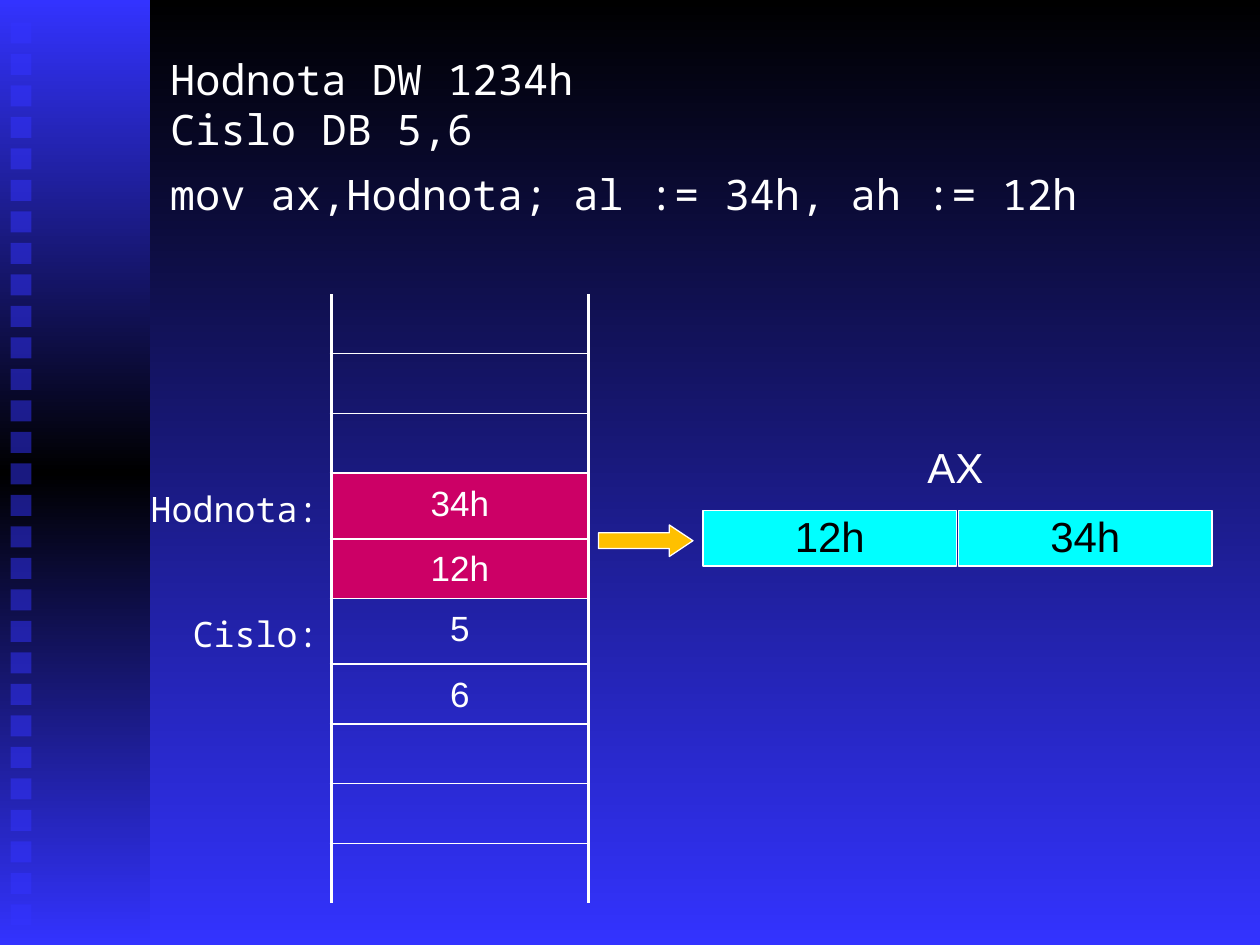
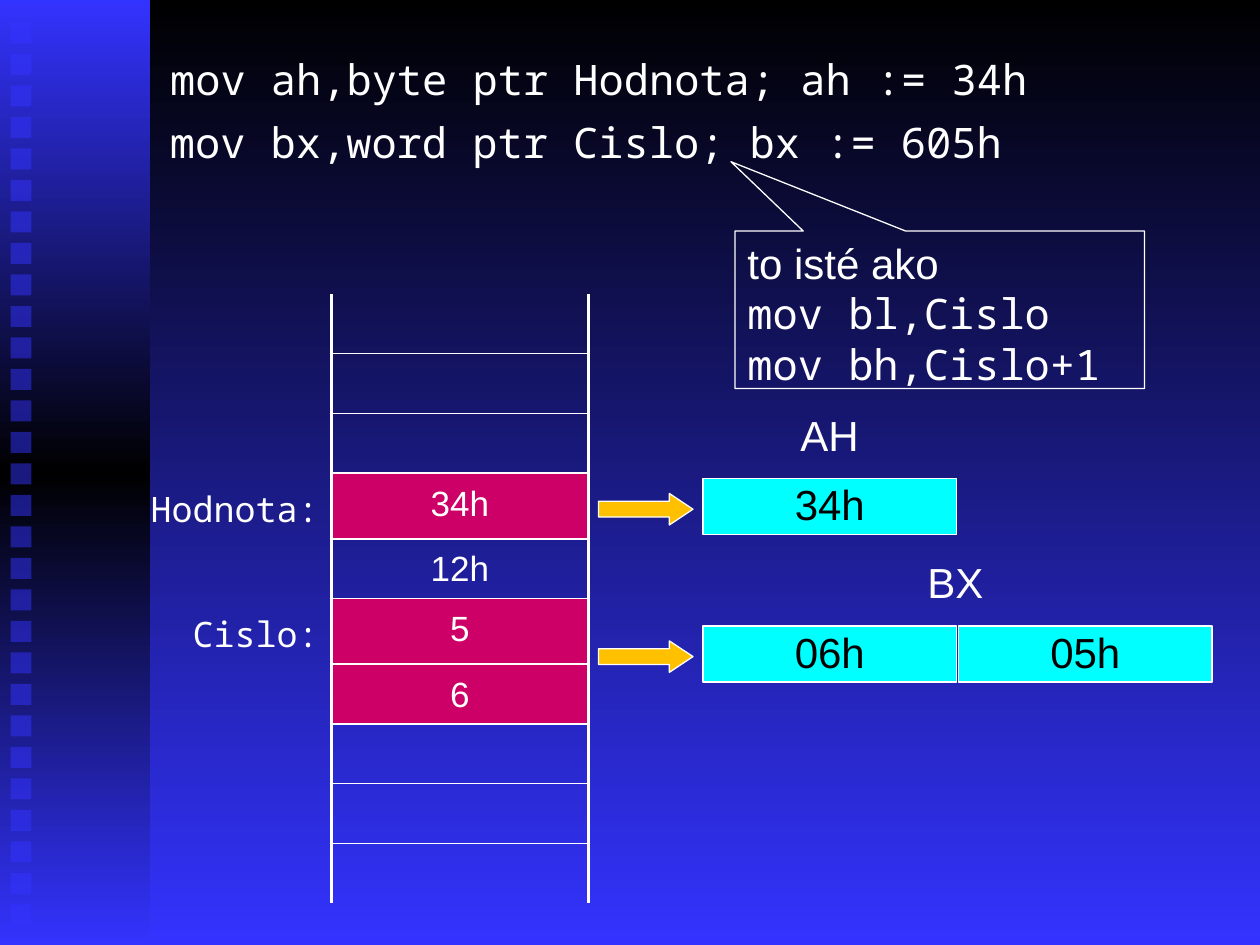
"""Builds two slides on how assembler variables lie in memory and load into registers."""
import copy
import dataclasses

import pptx
import pptx.dml.color
import pptx.enum.shapes
import pptx.enum.text
import pptx.oxml
import pptx.oxml.ns
import pptx.util

Pt = pptx.util.Pt
qn = pptx.oxml.ns.qn
SHAPE = pptx.enum.shapes.MSO_SHAPE
ALIGN = pptx.enum.text.PP_ALIGN
ANCHOR = pptx.enum.text.MSO_ANCHOR


@dataclasses.dataclass(frozen=True)
class Theme:
    """Colours, fonts and type sizes shared by the slides."""
    black: str = "000000"
    blue: str = "3333FF"
    white: str = "FFFFFF"
    marked: str = "CC0066"
    register: str = "00FFFF"
    arrow: str = "FFC000"
    sans: str = "Arial"
    mono: str = "Noto Sans Mono"
    text_size: int = 24
    cell_size: int = 20
    thin_line: float = 0.75
    row_line: float = 1
    column_line: float = 2.25


THEME = Theme()
NO_STYLE = "{2D5ABB26-0587-4C30-8999-92F81FD0307C}"
MEMORY = ["", "", "", "34h", "12h", "5", "6", "", "", ""]
LABELS = {3: "Hodnota:", 5: "Cislo:"}


def rgb(value):
    """Return the colour object of a hexadecimal value."""
    return pptx.dml.color.RGBColor.from_string(value)


def place(shape, box):
    """Move and size a shape to left, top, width, height."""
    shape.left, shape.top, shape.width, shape.height = map(Pt, box)


def write(frame, lines, size=THEME.text_size, colour=THEME.white, align=ALIGN.LEFT):
    """Fill a text frame with (text, font name) lines."""
    for index, (text, font_name) in enumerate(lines):
        paragraph = frame.add_paragraph() if index else frame.paragraphs[0]
        paragraph.alignment = align
        run = paragraph.add_run()
        run.text = text
        run.font.name = font_name
        run.font.size = Pt(size)
        run.font.color.rgb = rgb(colour)


def set_frame(frame, top_inset):
    """Make a text frame wrap, start at the top and keep its size."""
    frame.word_wrap = True
    frame.auto_size = pptx.enum.text.MSO_AUTO_SIZE.NONE
    frame.vertical_anchor = ANCHOR.TOP
    frame.margin_left = frame.margin_right = Pt(7.2)
    frame.margin_top, frame.margin_bottom = Pt(top_inset), Pt(3.6)


def paint_gradient(fill, element, colours):
    """Fill from top to bottom with evenly spaced colours."""
    fill.gradient()
    fill.gradient_angle = 270
    stops = element.find(".//" + qn("a:gsLst"))
    for _ in colours[2:]:
        stops.append(copy.deepcopy(stops[0]))
    for index, (stop, colour) in enumerate(zip(fill.gradient_stops, colours)):
        stop.position = index / (len(colours) - 1)
        stop.color.rgb = rgb(colour)


def add_plain_shape(shapes, kind, box, fill=None, line=None):
    """Add a preset shape without shadow, with optional fill and line."""
    shape = shapes.add_shape(kind, *map(Pt, box))
    shape.shadow.inherit = False
    if fill:
        shape.fill.solid()
        shape.fill.fore_color.rgb = rgb(fill)
    else:
        shape.fill.background()
    if line:
        shape.line.color.rgb = rgb(line)
        shape.line.width = Pt(THEME.thin_line)
    else:
        shape.line.fill.background()
    return shape


def build_master(master, slide):
    """Give the master its background and its band of squares, drawn on a slide first."""
    paint_gradient(master.background.fill, master.element, [THEME.black, THEME.blue])
    group = slide.shapes.add_group_shape()
    band = add_plain_shape(group.shapes, SHAPE.RECTANGLE, (0, 0, 85.7, 540))
    paint_gradient(band.fill, band.element, [THEME.blue, THEME.black, THEME.blue])
    for index in range(29):
        box = (6, 12.8 + 18 * index, 12, 12)
        square = add_plain_shape(group.shapes, SHAPE.RECTANGLE, box, THEME.blue)
        colour = square.element.find(".//" + qn("a:srgbClr"))
        pptx.oxml.ns.nsdecls("a")
        alpha = pptx.oxml.parse_xml(f'<a:alpha {pptx.oxml.ns.nsdecls("a")} val="50000"/>')
        colour.append(alpha)
    master.shapes.element.insert(2, group.element)
    for number, node in enumerate(master.element.iter(qn("p:cNvPr")), 1):
        node.set("id", str(number))


def add_title(slide, lines, box):
    """Write code lines into the title placeholder."""
    title = slide.shapes.title
    place(title, box)
    set_frame(title.text_frame, 6.5)
    write(title.text_frame, [(line, THEME.mono) for line in lines])


def add_code(slide, line, box):
    """Add one line of code in a text box."""
    frame = slide.shapes.add_textbox(*map(Pt, box)).text_frame
    set_frame(frame, 6.5)
    write(frame, [(line, THEME.mono)])


def set_borders(cell, widths):
    """Draw white cell borders; widths maps the sides L, R, T, B to points."""
    properties = cell._tc.get_or_add_tcPr()
    for index, (side, width) in enumerate(widths.items()):
        properties.insert(index, pptx.oxml.parse_xml(
            f'<a:ln{side} {pptx.oxml.ns.nsdecls("a")} w="{int(Pt(width))}">'
            f'<a:solidFill><a:srgbClr val="{THEME.white}"/></a:solidFill></a:ln{side}>'))


def fill_cell(cell, text, font_name, align, colour=None):
    """Write a memory cell or its label and set its fill."""
    cell.margin_left = cell.margin_right = Pt(7.2)
    cell.margin_top, cell.margin_bottom = Pt(6.5), Pt(3.6)
    if text:
        write(cell.text_frame, [(text, font_name)], THEME.cell_size, align=align)
    if colour:
        cell.fill.solid()
        cell.fill.fore_color.rgb = rgb(colour)
    else:
        cell.fill.background()


def add_memory(slide, marked_rows):
    """Add the memory table with its labels and marked rows."""
    last = len(MEMORY) - 1
    frame = slide.shapes.add_table(len(MEMORY), 2, Pt(18), Pt(168), Pt(318.2), Pt(341.3))
    frame.element.find(".//" + qn("a:tableStyleId")).text = NO_STYLE
    table = frame.table
    table.first_row = table.horz_banding = False
    table.columns[0].width, table.columns[1].width = Pt(171.4), Pt(146.8)
    for index, value in enumerate(MEMORY):
        table.rows[index].height = Pt(34.13)
        label, cell = table.cell(index, 0), table.cell(index, 1)
        fill_cell(label, LABELS.get(index), THEME.mono, ALIGN.RIGHT)
        fill_cell(cell, value, THEME.sans, ALIGN.CENTER,
                  THEME.marked if index in marked_rows else None)
        set_borders(label, {"R": THEME.column_line})
        widths = {"L": THEME.column_line, "R": THEME.column_line}
        if index > 0:
            widths["T"] = THEME.row_line
        if index < last:
            widths["B"] = THEME.row_line
        set_borders(cell, widths)


def add_register(slide, name, values, top):
    """Add a named register of one or two bytes with the arrow leading to it."""
    shapes = slide.shapes.add_group_shape().shapes
    for index, value in enumerate(values):
        byte = add_plain_shape(shapes, SHAPE.RECTANGLE, (401.8 + 146 * index, top, 144.8, 31.9),
                               THEME.register, THEME.white)
        set_frame(byte.text_frame, 0)
        write(byte.text_frame, [(value, THEME.sans)], colour=THEME.black, align=ALIGN.CENTER)
    left = 390 + 72 * (len(values) - 1)
    label = shapes.add_textbox(Pt(left), Pt(top - 39.6), Pt(168), Pt(32.4))
    set_frame(label.text_frame, 0)
    write(label.text_frame, [(name, THEME.sans)], align=ALIGN.CENTER)
    arrow = add_plain_shape(shapes, SHAPE.RIGHT_ARROW, (342, top + 8.4, 54, 18),
                            THEME.arrow, THEME.white)
    arrow.adjustments[0], arrow.adjustments[1] = 0.5, 0.75


def add_callout(slide, lines, box, tip):
    """Add an outlined callout whose tip is given relative to its centre."""
    callout = add_plain_shape(slide.shapes, SHAPE.RECTANGULAR_CALLOUT, box, line=THEME.white)
    callout.adjustments[0], callout.adjustments[1] = tip
    set_frame(callout.text_frame, 3.6)
    write(callout.text_frame, lines)


def main():
    """Build both slides and save them."""
    presentation = pptx.Presentation()
    presentation.slide_width, presentation.slide_height = Pt(720), Pt(540)
    layout = presentation.slide_layouts.get_by_name("Title Only")
    word_slide = presentation.slides.add_slide(layout)
    byte_slide = presentation.slides.add_slide(layout)
    build_master(presentation.slide_master, word_slide)

    add_memory(word_slide, {3, 4})
    add_register(word_slide, "AX", ["12h", "34h"], 291.6)
    add_title(word_slide, ["Hodnota DW 1234h", "Cislo DB 5,6"], (90, 24, 426, 60))
    add_code(word_slide, "mov ax,Hodnota; al := 34h, ah := 12h", (90, 90, 594, 30))

    add_memory(byte_slide, {3, 5, 6})
    add_register(byte_slide, "AH", ["34h"], 273.6)
    add_register(byte_slide, "BX", ["06h", "05h"], 357.8)
    add_title(byte_slide, ["mov ah,byte ptr Hodnota; ah := 34h"], (90, 24, 516, 30))
    add_code(byte_slide, "mov bx,word ptr Cislo; bx := 605h", (90, 60, 504, 30))
    add_callout(byte_slide,
                [("to isté ako", THEME.sans), ("mov bl,Cislo", THEME.mono),
                 ("mov bh,Cislo+1", THEME.mono)],
                (420, 132, 234, 90), (-0.51, -0.94))
    presentation.save("out.pptx")


main()
